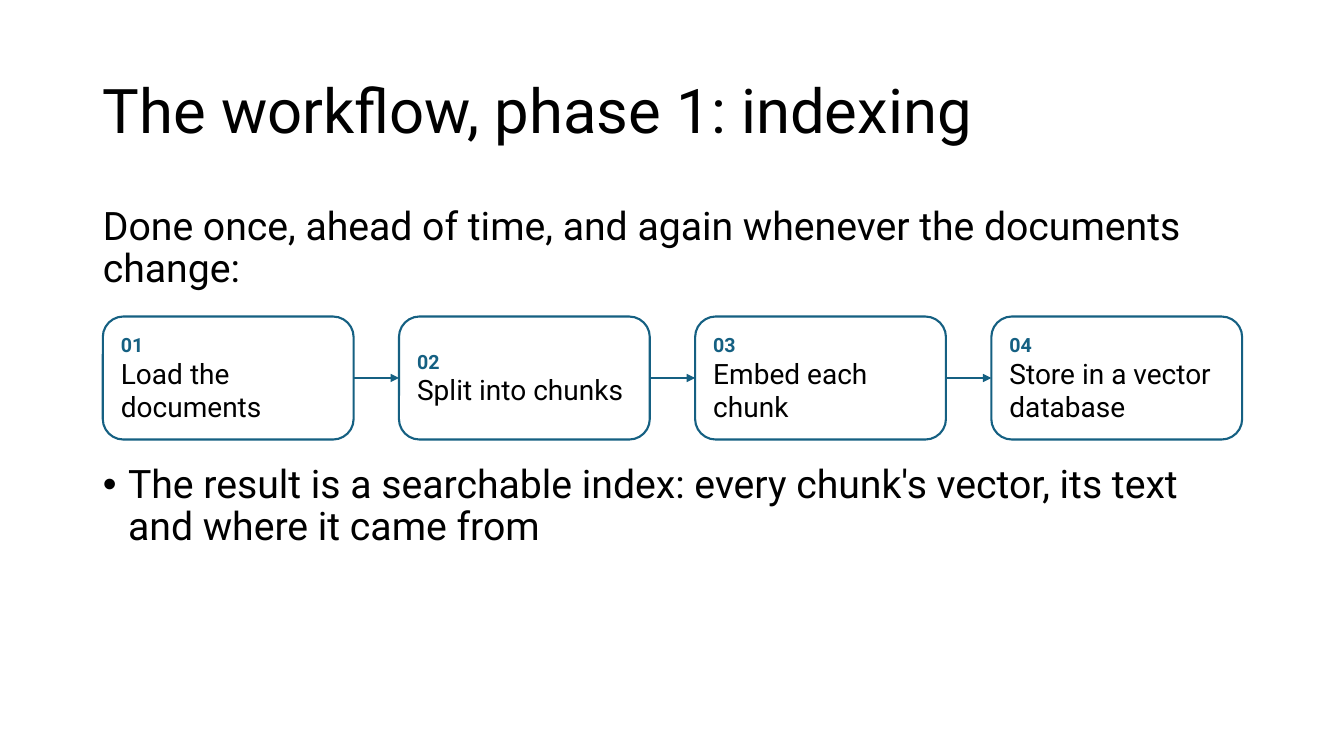
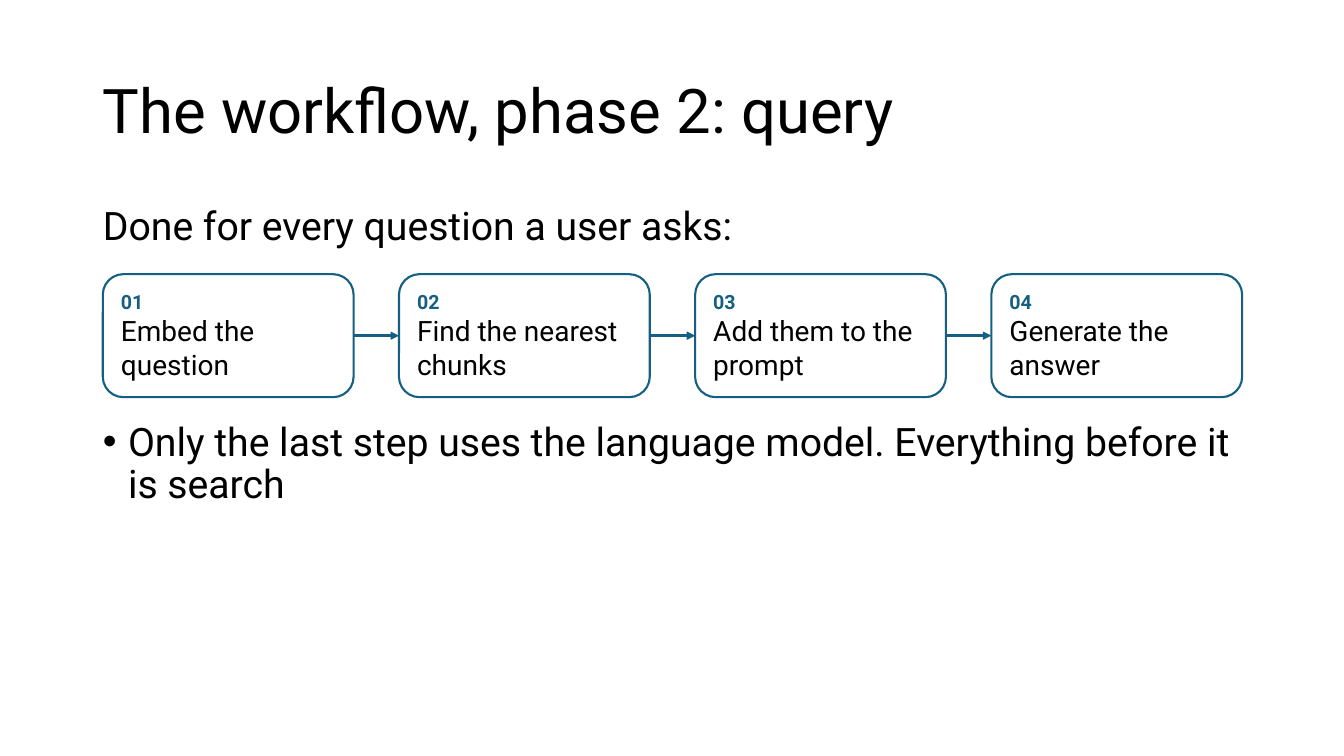
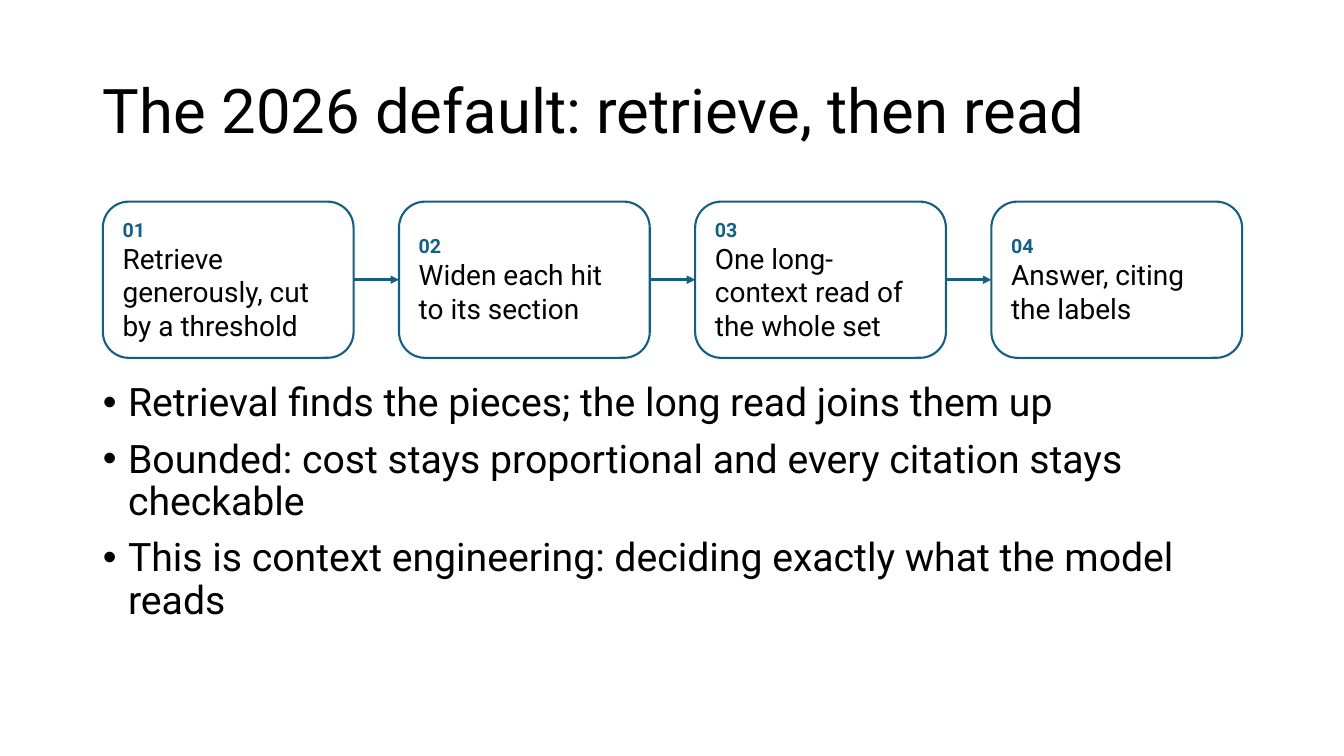
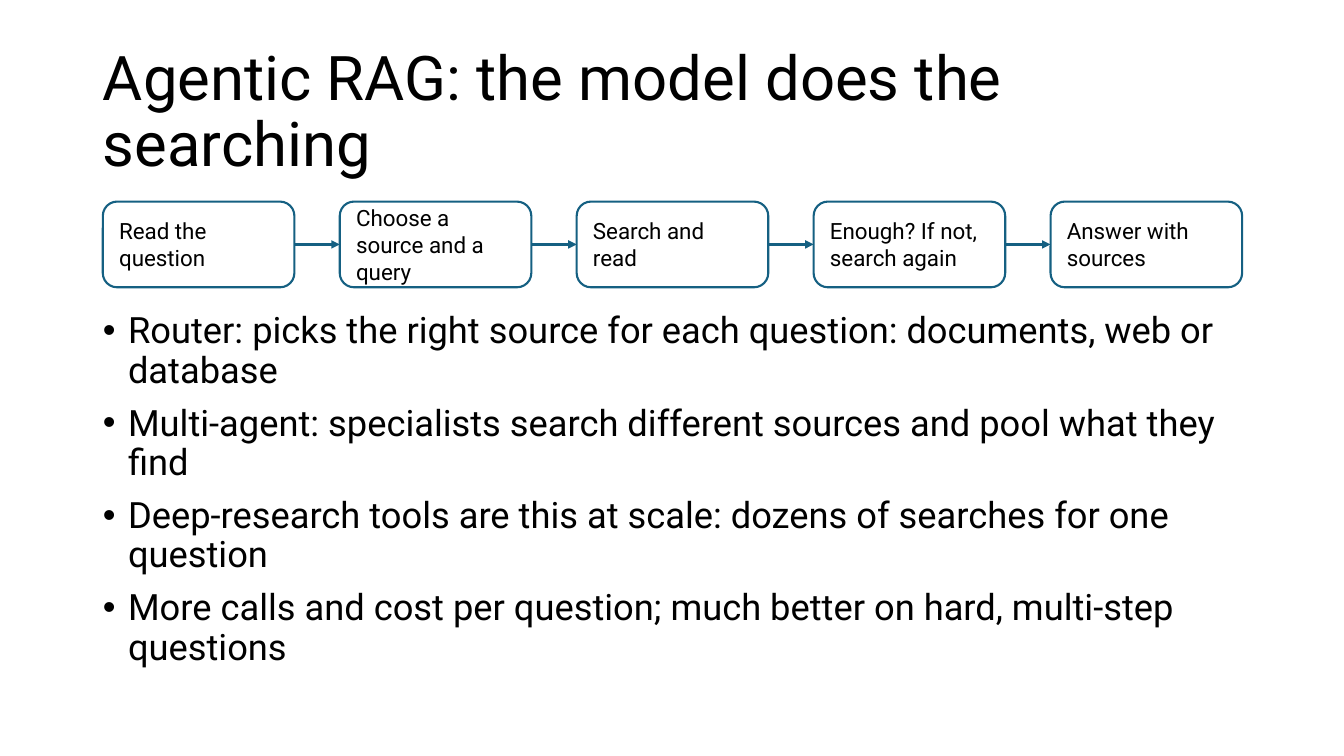
from dataclasses import dataclass
from itertools import pairwise

from lxml.etree import SubElement
from pptx import Presentation
from pptx.dml.color import RGBColor
from pptx.enum.shapes import MSO_CONNECTOR, MSO_SHAPE
from pptx.enum.text import MSO_ANCHOR, MSO_AUTO_SIZE, PP_ALIGN
from pptx.oxml.ns import qn
from pptx.util import Inches, Pt


@dataclass(frozen=True)
class Theme:
    font: str = "Roboto"
    ink: RGBColor = RGBColor(0x00, 0x00, 0x00)
    paper: RGBColor = RGBColor(0xFF, 0xFF, 0xFF)
    accent: RGBColor = RGBColor(0x15, 0x60, 0x82)
    title_size: float = 44
    body_size: float = 28
    dense_body_size: float = 25.9
    step_size: float = 20
    plain_step_size: float = 16
    number_size: float = 14
    line_spacing: float = 0.9
    space_before: float = 10


@dataclass(frozen=True)
class Flow:
    steps: tuple[str, ...]
    height: float
    numbered: bool = True


@dataclass(frozen=True)
class FlowSlide:
    title: str
    flow: Flow
    bullets: tuple[str, ...]
    bullet_size: float
    intro: str = ""
    intro_height: float = 0


THEME = Theme()
TEXT_LEFT, TEXT_WIDTH = 0.92, 11.5
FLOW_LEFT, FLOW_WIDTH, STEP_GAP = 1.02, 11.3, 0.45
CONTENT_TOP, CONTENT_BOTTOM, BLOCK_GAP = 2, 6.76, 0.2
TITLE_AND_CONTENT, TWO_CONTENT = 1, 3
RIGHT_SIDE, LEFT_SIDE = 3, 1

SLIDES = (
    FlowSlide(
        title="The workflow, phase 1: indexing",
        intro="Done once, ahead of time, and again whenever the documents change:",
        intro_height=0.94,
        flow=Flow(("Load the documents", "Split into chunks",
                   "Embed each chunk", "Store in a vector database"), 1.22),
        bullets=("The result is a searchable index: every chunk's vector, "
                 "its text and where it came from",),
        bullet_size=THEME.body_size,
    ),
    FlowSlide(
        title="The workflow, phase 2: query",
        intro="Done for every question a user asks:",
        intro_height=0.52,
        flow=Flow(("Embed the question", "Find the nearest chunks",
                   "Add them to the prompt", "Generate the answer"), 1.22),
        bullets=("Only the last step uses the language model. "
                 "Everything before it is search",),
        bullet_size=THEME.body_size,
    ),
    FlowSlide(
        title="The 2026 default: retrieve, then read",
        flow=Flow(("Retrieve generously, cut by a threshold",
                   "Widen each hit to its section",
                   "One long-context read of the whole set",
                   "Answer, citing the labels"), 1.55),
        bullets=("Retrieval finds the pieces; the long read joins them up",
                 "Bounded: cost stays proportional and every citation stays checkable",
                 "This is context engineering: deciding exactly what the model reads"),
        bullet_size=THEME.body_size,
    ),
    FlowSlide(
        title="Agentic RAG: the model does the searching",
        flow=Flow(("Read the question", "Choose a source and a query",
                   "Search and read", "Enough? If not, search again",
                   "Answer with sources"), 0.85, numbered=False),
        bullets=("Router: picks the right source for each question: "
                 "documents, web or database",
                 "Multi-agent: specialists search different sources and pool what they find",
                 "Deep-research tools are this at scale: dozens of searches for one question",
                 "More calls and cost per question; much better on hard, multi-step questions"),
        bullet_size=THEME.dense_body_size,
    ),
)


def add_text(frame, text: str, *, size: float, color: RGBColor = THEME.ink,
             bold: bool = False, bullet: bool = False,
             line_spacing: float = 1.0, space_before: float = 0) -> None:
    """Add one paragraph; the first in a frame gets no space before."""
    first = not frame.paragraphs[0].runs
    paragraph = frame.paragraphs[0] if first else frame.add_paragraph()
    properties = paragraph._p.get_or_add_pPr()
    indent = Inches(0.25) if bullet else 0
    properties.set("marL", str(indent))
    properties.set("indent", str(-indent))
    if bullet:
        SubElement(properties, qn("a:buFont"), typeface="Arial")
        SubElement(properties, qn("a:buChar"), char="•")
    else:
        SubElement(properties, qn("a:buNone"))
    paragraph.alignment = PP_ALIGN.LEFT
    paragraph.line_spacing = line_spacing
    paragraph.space_before = Pt(0 if first else space_before)
    run = paragraph.add_run()
    run.text = text
    run.font.name = THEME.font
    run.font.size = Pt(size)
    run.font.bold = bold
    run.font.color.rgb = color


def fill_placeholder(placeholder, texts: tuple[str, ...], *, top: float, height: float,
                     size: float, bullet: bool = False,
                     anchor: MSO_ANCHOR = MSO_ANCHOR.TOP) -> None:
    placeholder.left, placeholder.top = Inches(TEXT_LEFT), Inches(top)
    placeholder.width, placeholder.height = Inches(TEXT_WIDTH), Inches(height)
    frame = placeholder.text_frame
    frame.word_wrap = True
    frame.auto_size = MSO_AUTO_SIZE.NONE
    frame.vertical_anchor = anchor
    for text in texts:
        add_text(frame, text, size=size, bullet=bullet,
                 line_spacing=THEME.line_spacing, space_before=THEME.space_before)


def add_step(group, text: str, number: int | None, *, left: float, top: float,
             width: float, height: float):
    step = group.shapes.add_shape(MSO_SHAPE.ROUNDED_RECTANGLE, Inches(left), Inches(top),
                                  Inches(width), Inches(height))
    step.shadow.inherit = False
    step.fill.solid()
    step.fill.fore_color.rgb = THEME.paper
    step.line.color.rgb = THEME.accent
    step.line.width = Pt(1.5)
    frame = step.text_frame
    frame.word_wrap = True
    frame.vertical_anchor = MSO_ANCHOR.MIDDLE
    frame.margin_left = frame.margin_right = Inches(0.12)
    frame.margin_top = frame.margin_bottom = Inches(0.06)
    if number is not None:
        add_text(frame, f"{number:02}", size=THEME.number_size, color=THEME.accent, bold=True)
    add_text(frame, text, size=THEME.plain_step_size if number is None else THEME.step_size)
    return step


def add_arrow(group, source, target) -> None:
    middle = source.top + source.height // 2
    arrow = group.shapes.add_connector(MSO_CONNECTOR.STRAIGHT, source.left + source.width,
                                       middle, target.left, middle)
    arrow.begin_connect(source, RIGHT_SIDE)
    arrow.end_connect(target, LEFT_SIDE)
    arrow.line.color.rgb = THEME.accent
    arrow.line.width = Pt(2)
    SubElement(arrow.line._get_or_add_ln(), qn("a:tailEnd"), type="triangle")
    SubElement(arrow._element.spPr, qn("a:effectLst"))


def add_flow(slide, flow: Flow, top: float) -> None:
    """Draw equal steps across the flow width, joined by arrows."""
    group = slide.shapes.add_group_shape()
    count = len(flow.steps)
    width = (FLOW_WIDTH - STEP_GAP * (count - 1)) / count
    steps = [
        add_step(group, text, index + 1 if flow.numbered else None,
                 left=FLOW_LEFT + index * (width + STEP_GAP), top=top,
                 width=width, height=flow.height)
        for index, text in enumerate(flow.steps)
    ]
    for source, target in pairwise(steps):
        add_arrow(group, source, target)


def add_flow_slide(deck, content: FlowSlide) -> None:
    layout = deck.slide_layouts[TWO_CONTENT if content.intro else TITLE_AND_CONTENT]
    slide = deck.slides.add_slide(layout)
    title, *bodies = slide.placeholders
    fill_placeholder(title, (content.title,), top=0.4, height=1.45,
                     size=THEME.title_size, anchor=MSO_ANCHOR.MIDDLE)
    flow_top = CONTENT_TOP
    if content.intro:
        fill_placeholder(bodies[0], (content.intro,), top=CONTENT_TOP,
                         height=content.intro_height, size=THEME.body_size)
        flow_top += content.intro_height + BLOCK_GAP
    add_flow(slide, content.flow, flow_top)
    bullets_top = flow_top + content.flow.height + BLOCK_GAP
    fill_placeholder(bodies[-1], content.bullets, top=bullets_top,
                     height=CONTENT_BOTTOM - bullets_top,
                     size=content.bullet_size, bullet=True)


def main() -> None:
    deck = Presentation()
    deck.slide_width, deck.slide_height = Inches(13.33), Inches(7.5)
    for content in SLIDES:
        add_flow_slide(deck, content)
    deck.save("out.pptx")


if __name__ == "__main__":
    main()
